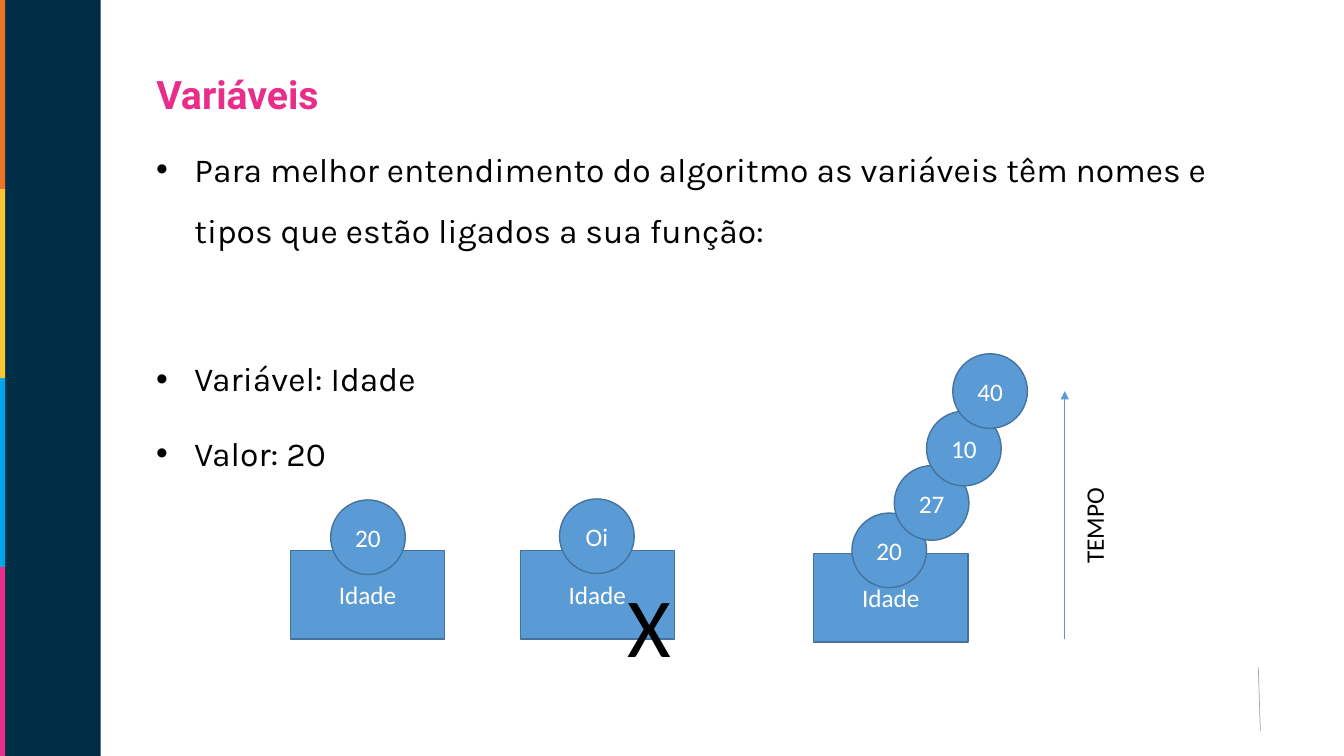
from typing import NamedTuple

from lxml import etree
from pptx import Presentation
from pptx import util as u
from pptx.dml.color import RGBColor
from pptx.enum import shapes, text
from pptx.oxml import ns

COLORS = {
    "navy": "002E46", "orange": "EE7325", "yellow": "FDC432", "cyan": "00A6E9",
    "pink": "E82E8A", "gray": "A5A5A5", "blue": "5B9BD5", "outline": "43739E",
    "white": "FFFFFF", "black": "000000",
}
BOX_SIZE = (1.53, 0.88)
BALL_SIZE = (0.74, 0.74)


class Node(NamedTuple):
    label: str
    left: float
    top: float


class Bullet(NamedTuple):
    content: str
    space_before: float


BOXES = [Node("Idade", 2.88, 5.46), Node("Idade", 5.16, 5.46), Node("Idade", 8.07, 5.49)]
BALLS = [
    Node("20", 3.28, 4.96), Node("Oi", 5.55, 4.95), Node("20", 8.45, 5.09),
    Node("27", 8.87, 4.62), Node("10", 9.19, 4.08), Node("40", 9.45, 3.51),
]
BULLETS = [
    Bullet("Para melhor entendimento do algoritmo as variáveis têm nomes e "
           "tipos que estão ligados a sua função:", 0),
    Bullet("Variável: Idade", 63),
    Bullet("Valor: 20", 10),
]


def rgb(name: str) -> RGBColor:
    return RGBColor.from_string(COLORS[name])


def inches(*values: float) -> list:
    return [u.Inches(v) for v in values]


def style(p, size: float, color: str, font: str = "Calibri", bold: bool = False) -> None:
    for r in p.runs:
        r.font.size = u.Pt(size)
        r.font.name = font
        r.font.bold = bold
        r.font.color.rgb = rgb(color)


def add_block(slide, kind, left: float, top: float, width: float, height: float,
              fill: str, outline: str = ""):
    sp = slide.shapes.add_shape(kind, *inches(left, top, width, height))
    sp.shadow.inherit = False
    sp.fill.solid()
    sp.fill.fore_color.rgb = rgb(fill)
    if outline:
        sp.line.color.rgb = rgb(outline)
        sp.line.width = u.Pt(1)
    else:
        sp.line.fill.background()
    return sp


def add_node(slide, kind, node: Node, size: tuple) -> None:
    sp = add_block(slide, kind, node.left, node.top, *size, "blue", "outline")
    tf = sp.text_frame
    tf.text = node.label
    tf.vertical_anchor = text.MSO_ANCHOR.MIDDLE
    p = tf.paragraphs[0]
    p.alignment = text.PP_ALIGN.CENTER
    style(p, 18, "white")


def add_line(slide, start: tuple, end: tuple, color: str, arrow: bool = False) -> None:
    line = slide.shapes.add_connector(shapes.MSO_CONNECTOR.STRAIGHT, *inches(*start, *end))
    line.line.color.rgb = rgb(color)
    line.line.width = u.Pt(0.5)
    if arrow:
        etree.SubElement(line.line._get_or_add_ln(), ns.qn("a:tailEnd"), type="triangle")
    etree.SubElement(line._element.spPr, ns.qn("a:effectLst"))


def add_label(slide, content: str, left: float, top: float, width: float, height: float,
              size: float, wrap: bool = True, rotation: float = 0) -> None:
    sp = slide.shapes.add_textbox(*inches(left, top, width, height))
    sp.rotation = rotation
    tf = sp.text_frame
    tf.word_wrap = wrap
    tf.auto_size = text.MSO_AUTO_SIZE.SHAPE_TO_FIT_TEXT
    tf.text = content
    style(tf.paragraphs[0], size, "black")


def add_title(slide, content: str) -> None:
    sp = slide.shapes.title
    sp.left, sp.top, sp.width, sp.height = inches(1.45, 0.74, 9.46, 0.49)
    tf = sp.text_frame
    tf.text = content
    tf.auto_size = text.MSO_AUTO_SIZE.NONE
    tf.vertical_anchor = text.MSO_ANCHOR.TOP
    p = tf.paragraphs[0]
    p.alignment = text.PP_ALIGN.LEFT
    p.line_spacing = 0.8
    p.space_before = u.Pt(0)
    style(p, 28, "pink", "Roboto", True)


def add_bullets(slide, bullets: list[Bullet]) -> None:
    sp = slide.shapes.add_textbox(*inches(1.45, 1.23, 10.71, 5.79))
    tf = sp.text_frame
    tf.word_wrap = True
    for i, bullet in enumerate(bullets):
        p = tf.add_paragraph() if i else tf.paragraphs[0]
        p.text = bullet.content
        p.line_spacing = 1.5
        p.space_before = u.Pt(bullet.space_before)
        pPr = p._p.get_or_add_pPr()
        pPr.set("marL", str(u.Inches(0.38)))
        pPr.set("indent", str(-u.Inches(0.38)))
        etree.SubElement(pPr, ns.qn("a:buFont"), typeface="Arial")
        etree.SubElement(pPr, ns.qn("a:buChar"), char="•")
        style(p, 24, "black", "Karla")


def main() -> None:
    prs = Presentation()
    prs.slide_width, prs.slide_height = inches(13.33, 7.5)
    slide = prs.slides.add_slide(prs.slide_layouts[5])
    rect = shapes.MSO_SHAPE.RECTANGLE

    add_block(slide, rect, 0, 0, 1, 7.5, "navy")
    stripes = ("orange", "yellow", "cyan", "pink")
    stripe_height = 7.5 / len(stripes)
    for i, color in enumerate(stripes):
        add_block(slide, rect, 0, i * stripe_height, 0.05, stripe_height, color)
    add_line(slide, (12.48, 6.62), (12.5, 7.25), "gray")

    add_title(slide, "Variáveis")
    add_bullets(slide, BULLETS)

    for box in BOXES:
        add_node(slide, rect, box, BOX_SIZE)
    for ball in BALLS:
        add_node(slide, shapes.MSO_SHAPE.OVAL, ball, BALL_SIZE)
    add_label(slide, "X", 6.13, 5.64, 1.14, 1.11, 60)
    add_line(slide, (10.56, 6.34), (10.56, 3.88), "blue", arrow=True)
    add_label(slide, "TEMPO", 10.37, 5.01, 0.96, 0.4, 18, wrap=False, rotation=270)

    prs.save("out.pptx")


if __name__ == "__main__":
    main()
